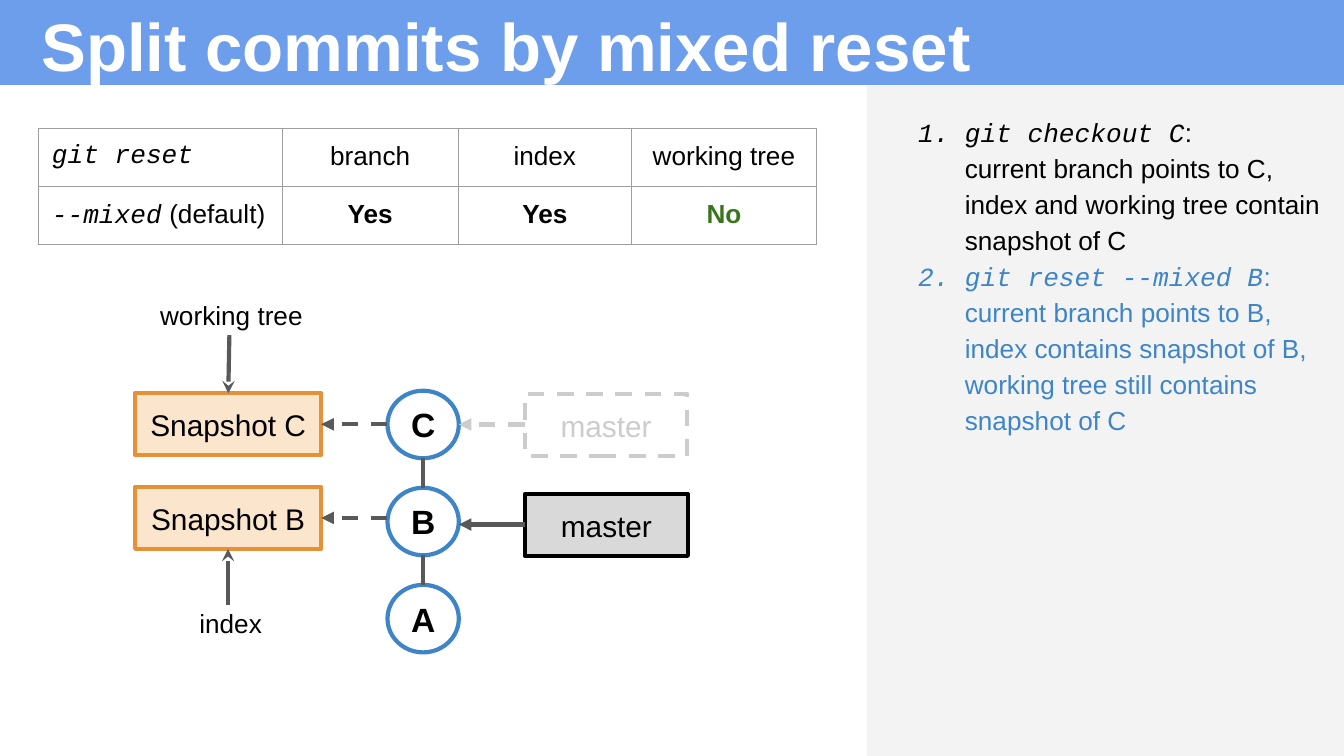
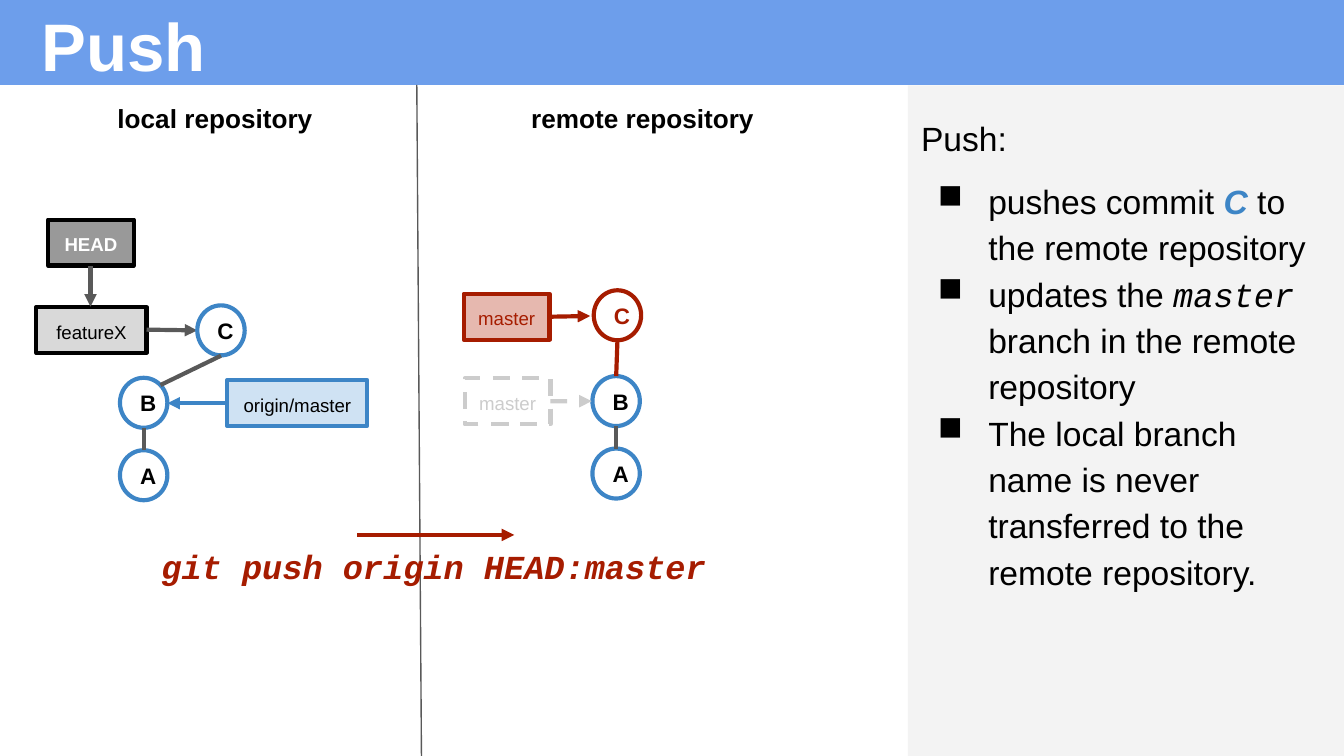
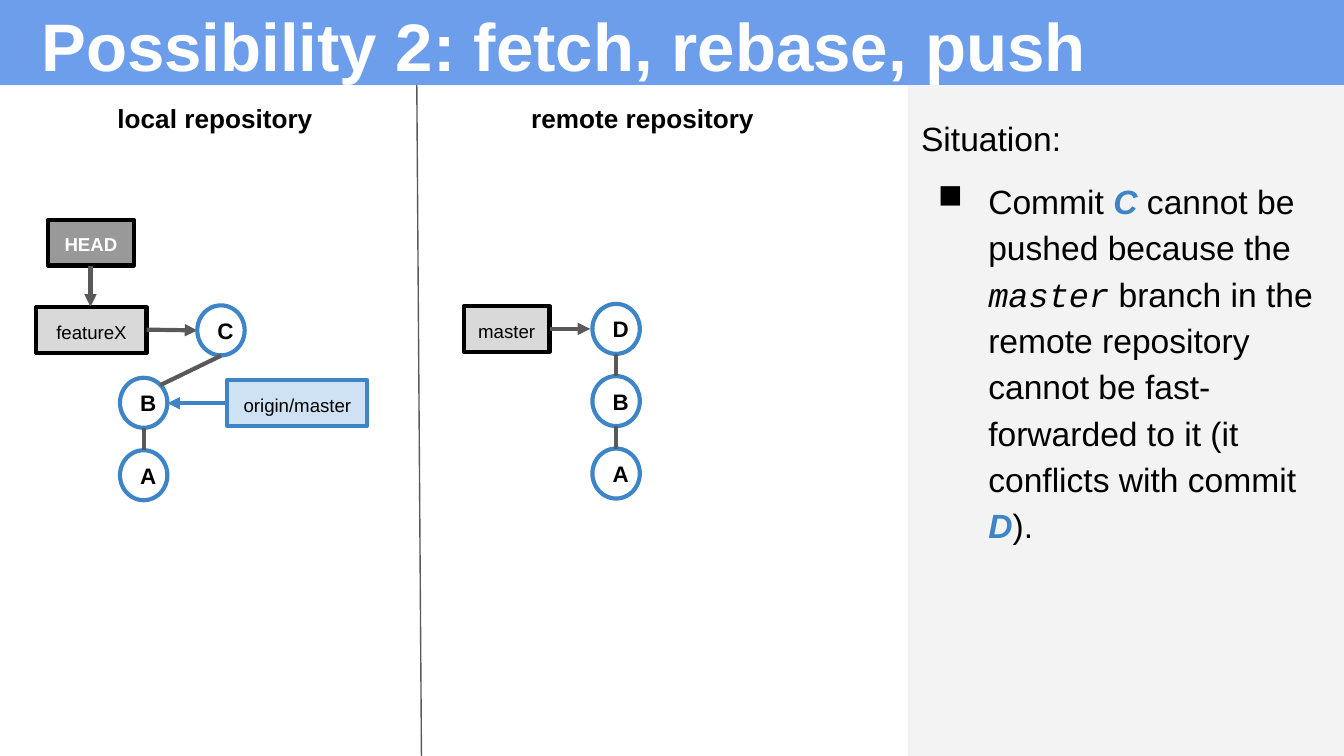
from lxml import etree
from pptx import Presentation
from pptx.dml.color import RGBColor
from pptx.enum.dml import MSO_LINE
from pptx.enum.shapes import MSO_CONNECTOR, MSO_SHAPE
from pptx.enum.text import MSO_ANCHOR, PP_ALIGN
from pptx.oxml.ns import qn
from pptx.util import Pt

RECT, OVAL = MSO_SHAPE.RECTANGLE, MSO_SHAPE.OVAL
STRAIGHT, DASH = MSO_CONNECTOR.STRAIGHT, MSO_LINE.DASH
LEFT, CENTER = PP_ALIGN.LEFT, PP_ALIGN.CENTER
TOP, MIDDLE, BOTTOM = MSO_ANCHOR.TOP, MSO_ANCHOR.MIDDLE, MSO_ANCHOR.BOTTOM

# Shared look
SANS, MONO = "Arial", "Courier New"
BLACK, WHITE = "000000", "FFFFFF"
BAND, PANEL = "6D9EEB", "F3F3F3"
BLUE, PALE_BLUE = "3D85C6", "CFE2F3"
RED, PALE_RED = "A61C00", "E6B8AF"
ORANGE, PALE_ORANGE = "E69138", "FCE5CD"
GRAY, LIGHT_GRAY, HEAD_GRAY = "595959", "D9D9D9", "999999"
FADED, GRID, GREEN = "CCCCCC", "9E9E9E", "38761D"
INSET, STROKE = 7.2, 2.25
CODE = {"face": MONO, "italic": True}
COMMIT_NAME = {"ink": BLUE, "bold": True, "italic": True}
STRONG = {"bold": True}


def color(hex_code):
    return RGBColor.from_string(hex_code)


# Text
def write(paragraph, spans, size, ink=BLACK, face=SANS, bold=False, italic=False):
    """Fill a paragraph with spans: plain strings or (text, style changes)."""
    for span in [spans] if isinstance(spans, str) else spans:
        text, changes = (span, {}) if isinstance(span, str) else span
        style = {"ink": ink, "face": face, "bold": bold, "italic": italic, **changes}
        for number, line in enumerate(text.split("\n")):
            if number:
                paragraph.add_line_break()
            run = paragraph.add_run()
            run.text = line
            run.font.size = Pt(size)
            run.font.name = style["face"]
            run.font.bold = style["bold"]
            run.font.italic = style["italic"]
            run.font.color.rgb = color(style["ink"])
    for line_break in paragraph._p.findall(qn("a:br")):
        etree.SubElement(line_break, qn("a:rPr"), sz=str(size * 100))


def set_frame(frame, anchor=TOP):
    frame.word_wrap = True
    frame.vertical_anchor = anchor
    frame.margin_left = frame.margin_right = Pt(INSET)
    frame.margin_top = frame.margin_bottom = Pt(INSET)


def add_text(slide, at, spans, size, align=LEFT, anchor=TOP, **style):
    frame = slide.shapes.add_textbox(*map(Pt, at)).text_frame
    set_frame(frame, anchor)
    frame.paragraphs[0].alignment = align
    write(frame.paragraphs[0], spans, size, **style)


def add_bullet(paragraph, tag, hanging, ink, **marker):
    properties = paragraph._p.get_or_add_pPr()
    properties.set("marL", str(Pt(36)))
    properties.set("indent", str(-Pt(hanging)))
    marker_color = etree.SubElement(properties, qn("a:buClr"))
    etree.SubElement(marker_color, qn("a:srgbClr"), val=ink)
    etree.SubElement(properties, qn(tag), **marker)


def add_notes_box(slide, at):
    frame = slide.shapes.add_textbox(*map(Pt, at)).text_frame
    set_frame(frame)
    return frame


def next_paragraph(frame, first):
    paragraph = frame.paragraphs[0] if first else frame.add_paragraph()
    paragraph.line_spacing = 1.15
    return paragraph


def add_steps(slide, at, steps):
    frame = add_notes_box(slide, at)
    for number, (command, effect, ink) in enumerate(steps):
        paragraph = next_paragraph(frame, number == 0)
        add_bullet(paragraph, "a:buAutoNum", 25, ink, type="arabicPeriod")
        write(paragraph, [(command, CODE), effect], 14, ink)


def add_points(slide, at, heading, points):
    frame = add_notes_box(slide, at)
    write(next_paragraph(frame, True), heading, 18)
    for number, spans in enumerate(points):
        paragraph = next_paragraph(frame, False)
        if number == 0:
            paragraph.space_before = Pt(9)
        add_bullet(paragraph, "a:buChar", 27, BLACK, char="■")
        write(paragraph, spans, 18)


# Shapes and lines
def add_shape(slide, kind, at, fill=None, line=None, dashed=False):
    shape = slide.shapes.add_shape(kind, *map(Pt, at))
    shape.shadow.inherit = False
    if fill:
        shape.fill.solid()
        shape.fill.fore_color.rgb = color(fill)
    else:
        shape.fill.background()
    if line:
        shape.line.color.rgb = color(line)
        shape.line.width = Pt(STROKE)
        if dashed:
            shape.line.dash_style = DASH
    else:
        shape.line.fill.background()
    return shape


def add_label(shape, text, size, anchor, **style):
    set_frame(shape.text_frame, anchor)
    paragraph = shape.text_frame.paragraphs[0]
    paragraph.alignment = CENTER
    write(paragraph, text, size, **style)


def add_commit(slide, letter, at, size, line=BLUE, ink=BLACK):
    add_label(add_shape(slide, OVAL, at, line=line), letter, size, MIDDLE,
              ink=ink, bold=True)


def add_tag(slide, text, at, size, fill=LIGHT_GRAY, line=BLACK, dashed=False, **style):
    add_label(add_shape(slide, RECT, at, fill, line, dashed), text, size, TOP, **style)


def add_faded_tag(slide, text, at, size):
    add_tag(slide, text, at, size, None, FADED, True, ink=FADED)


def add_line(slide, start, end, ink=GRAY, width=STROKE, dashed=False, arrow=None):
    line = slide.shapes.add_connector(STRAIGHT, *map(Pt, (*start, *end)))
    line.line.color.rgb = color(ink)
    line.line.width = Pt(width)
    if dashed:
        line.line.dash_style = DASH
    if arrow:
        etree.SubElement(line.line._get_or_add_ln(), qn("a:tailEnd"), type=arrow)
    etree.SubElement(line._element.spPr, qn("a:effectLst"))


def add_arrow(slide, start, end, ink=GRAY, dashed=False, head="triangle"):
    add_line(slide, start, end, ink, dashed=dashed, arrow=head)


# Table
def set_borders(cell):
    properties = cell._tc.get_or_add_tcPr()
    for position, side in enumerate(("a:lnL", "a:lnR", "a:lnT", "a:lnB")):
        border = etree.Element(qn(side), w=str(Pt(0.75)))
        fill = etree.SubElement(border, qn("a:solidFill"))
        etree.SubElement(fill, qn("a:srgbClr"), val=GRID)
        properties.insert(position, border)


def add_grid(slide, left, top, widths, row_height, rows):
    table = slide.shapes.add_table(
        len(rows), len(widths), Pt(left), Pt(top),
        Pt(sum(widths)), Pt(row_height * len(rows))).table
    table.first_row = table.horz_banding = False
    for column, width in zip(table.columns, widths):
        column.width = Pt(width)
    for row_number, row in enumerate(rows):
        table.rows[row_number].height = Pt(row_height)
        for column_number, spans in enumerate(row):
            cell = table.cell(row_number, column_number)
            cell.fill.background()
            cell.margin_left = cell.margin_right = Pt(INSET)
            cell.margin_top = cell.margin_bottom = Pt(INSET)
            paragraph = cell.text_frame.paragraphs[0]
            paragraph.alignment = CENTER if column_number else LEFT
            write(paragraph, spans, 14)
            set_borders(cell)


# Parts shared by slides
def add_slide(deck, title, panel_left):
    slide = deck.slides.add_slide(deck.slide_layouts[6])
    add_shape(slide, RECT, (0, 0, 720.5, 45.5), BAND)
    add_text(slide, (15.1, -7.2, 594.7, 59.8), title, 36, anchor=BOTTOM,
             ink=WHITE, bold=True)
    add_shape(slide, RECT, (panel_left, 45.8, 720 - panel_left, 359.2), PANEL)
    return slide


def add_small_commit(slide, letter, left, top, **style):
    add_commit(slide, letter, (left, top, 25.4, 26.8), 12, **style)


def add_base_commits(slide, left, top):
    """Commit B above its parent A."""
    step, middle = 38.8, left + 12.7
    add_small_commit(slide, "B", left, top)
    add_small_commit(slide, "A", left, top + step)
    add_line(slide, (middle, top + step), (middle, top + 26.8))


def add_local_repository(slide):
    add_base_commits(slide, 64.3, 202.4)
    add_tag(slide, "featureX", (19.5, 164.5, 59, 24.6), 10)
    add_arrow(slide, (78.5, 176.6), (105.7, 177))
    add_small_commit(slide, "C", 105.7, 163.6)
    add_line(slide, (86, 206.3), (118.4, 190.6))
    add_tag(slide, "HEAD", (25.7, 117.7, 46, 24.6), 10, HEAD_GRAY,
            ink=WHITE, bold=True)
    add_arrow(slide, (48.5, 142.4), (48.5, 164.3))
    add_tag(slide, "origin/master", (121.8, 203.6, 75, 24.6), 10, PALE_BLUE, BLUE)
    add_arrow(slide, (121.8, 216), (89.7, 216), BLUE)


def add_repositories_slide(deck, title, heading, points):
    slide = add_slide(deck, title, 486.4)
    add_points(slide, (486.4, 52.6, 229.2, 342), heading, points)
    add_line(slide, (223.3, 45.5), (225.8, 405), width=0.75)
    for left, name in ((41, "local repository"), (270, "remote repository")):
        add_text(slide, (left, 47.6, 148.4, 36), name, 14, CENTER, bold=True)
    add_local_repository(slide)
    add_base_commits(slide, 317.4, 201.5)
    return slide


# Slides
def build_mixed_reset(deck):
    slide = add_slide(deck, "Split commits by mixed reset", 464.4)
    add_grid(slide, 20.6, 68.7, (130.6, 94.3, 92.8, 99.2), 30.2, [
        [[("git reset", CODE)], "branch", "index", "working tree"],
        [[("--mixed", CODE), " (default)"], [("Yes", STRONG)], [("Yes", STRONG)],
         [("No", {"bold": True, "ink": GREEN})]],
    ])
    add_steps(slide, (473.8, 52.6, 241.9, 291.6), [
        ("git checkout C", ":\ncurrent branch points to C,\n"
         "index and working tree contain snapshot of C", BLACK),
        ("git reset --mixed B", ":\ncurrent branch points to B,\n"
         "index contains snapshot of B, working tree still contains snapshot of C",
         BLUE),
    ])

    # Commit history
    left, top, width, height, step = 207.6, 209.3, 38.2, 36.2, 52
    middle, right = left + width / 2, left + width
    for number, letter in enumerate("CBA"):
        commit_top = top + number * step
        add_commit(slide, letter, (left, commit_top, width, height), 18)
        if number:
            add_line(slide, (middle, commit_top), (middle, commit_top - step + height))

    # Snapshots with the places that hold them
    for letter, snapshot_top in (("C", 210.7), ("B", 260.9)):
        add_tag(slide, f"Snapshot {letter}", (72.4, snapshot_top, 99.7, 33.2), 16,
                PALE_ORANGE, ORANGE)
        link = snapshot_top + 16.6
        add_arrow(slide, (left, link), (172.1, link), dashed=True)
    add_text(slide, (78.7, 153.2, 92.9, 33.2), "working tree", 14)
    add_text(slide, (99.7, 318.2, 92.9, 33.2), "index", 14)
    add_arrow(slide, (122.9, 179.5), (122.3, 210.7), head="stealth")
    add_arrow(slide, (122.2, 324), (122.2, 294.1), head="stealth")

    # Branch before and after
    add_tag(slide, "master", (281.3, 264.6, 87.2, 33.2), 16)
    add_arrow(slide, (281.3, 281), (right, 281))
    add_faded_tag(slide, "master", (281.1, 211, 87.2, 33.2), 16)
    add_arrow(slide, (281.1, 227.4), (right, 227.4), FADED, dashed=True)


def build_push(deck):
    slide = add_repositories_slide(deck, "Push", "Push:", [
        ["pushes commit ", ("C", COMMIT_NAME), " to the remote repository"],
        ["updates the ", ("master", CODE), " branch in the remote repository"],
        "The local branch name is never transferred to the remote repository.",
    ])
    # Push command
    add_text(slide, (79.4, 285.2, 307.4, 37.4), "git push origin HEAD:master", 18,
             ink=RED, face=MONO, bold=True, italic=True)
    add_arrow(slide, (191.3, 286.6), (275.5, 286.6), RED)
    # Remote branch after and before
    add_tag(slide, "master", (248.4, 157.4, 46, 24.6), 10, PALE_RED, RED, ink=RED)
    add_arrow(slide, (294.4, 169.7), (316.2, 169.3), RED)
    add_small_commit(slide, "C", 318.1, 155.5, line=RED, ink=RED)
    add_line(slide, (330.1, 201.5), (330.8, 182.3), RED)
    add_faded_tag(slide, "master", (248.9, 202.7, 46, 24.6), 10)
    add_arrow(slide, (294.9, 215), (317, 214.9), FADED, dashed=True)


def build_rebase(deck):
    slide = add_repositories_slide(
        deck, "Possibility 2: fetch, rebase, push", "Situation:", [
            ["Commit ", ("C", COMMIT_NAME), " cannot be pushed because the ",
             ("master", CODE), " branch in the remote repository cannot be "
             "fast-forwarded to it (it conflicts with commit ",
             ("D", COMMIT_NAME), ")."],
        ])
    # Remote branch with the conflicting commit
    add_tag(slide, "master", (248.4, 164, 46, 24.6), 10)
    add_arrow(slide, (294.4, 176.2), (316.2, 176.2))
    add_small_commit(slide, "D", 317.4, 162.8)
    add_line(slide, (330.1, 201.5), (330.1, 189.6))


def main():
    deck = Presentation()
    deck.slide_width, deck.slide_height = Pt(720), Pt(405)
    build_mixed_reset(deck)
    build_push(deck)
    build_rebase(deck)
    deck.save("out.pptx")


if __name__ == "__main__":
    main()
